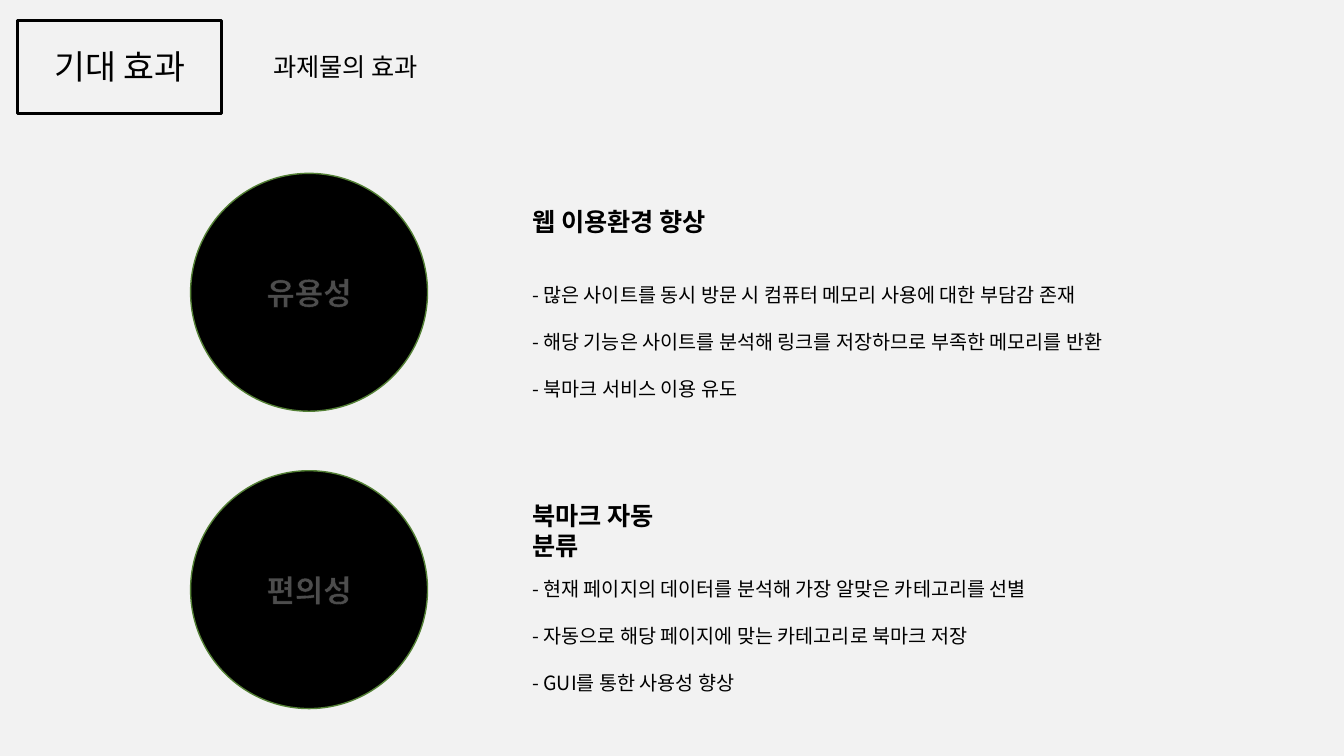
from lxml import etree
from pptx import Presentation
from pptx import util as u
from pptx.dml.color import RGBColor
from pptx.enum import shapes, text
from pptx.oxml import ns

PX = 9144
FONT = "Noto Sans CJK KR"
BLACK = RGBColor(0x00, 0x00, 0x00)
WHITE = RGBColor(0xFF, 0xFF, 0xFF)
GREEN = RGBColor(0x53, 0x80, 0x35)
PAPER = RGBColor(0xF2, 0xF2, 0xF2)

EFFECTS = [
    (172, "유용성", "웹 이용환경 향상", (200, 218), (252, 615), [
        "- 많은 사이트를 동시 방문 시 컴퓨터 메모리 사용에 대한 부담감 존재",
        "- 해당 기능은 사이트를 분석해 링크를 저장하므로 부족한 메모리를 반환",
        "- 북마크 서비스 이용 유도",
    ]),
    (467, "편의성", "북마크 자동 분류", (491, 186), (544, 600), [
        "- 현재 페이지의 데이터를 분석해 가장 알맞은 카테고리를 선별",
        "- 자동으로 해당 페이지에 맞는 카테고리로 북마크 저장",
        "- GUI를 통한 사용성 향상",
    ]),
]


def box(*px):
    """Turn px lengths into EMU."""
    return [u.Emu(n * PX) for n in px]


def outline(r):
    """Give a run a thin, mostly transparent black outline."""
    ln = etree.Element(ns.qn("a:ln"), w=str(u.Pt(0.75)))
    fill = etree.SubElement(ln, ns.qn("a:solidFill"))
    color = etree.SubElement(fill, ns.qn("a:srgbClr"), val=str(BLACK))
    etree.SubElement(color, ns.qn("a:alpha"), val="30000")
    r.font._element.insert(0, ln)


def write(tf, lines, size, color=BLACK, bold=False, **layout):
    """Fill a text frame, one paragraph for each line."""
    tf.word_wrap = True
    for i, line in enumerate(lines):
        p = tf.add_paragraph() if i else tf.paragraphs[0]
        for name, value in layout.items():
            setattr(p, name, value)
        r = p.add_run()
        r.text = line
        for name, value in dict(name=FONT, size=u.Pt(size), bold=bold).items():
            setattr(r.font, name, value)
        r.font.color.rgb = color
        outline(r)


def add_text(parent, at, lines, size, **style):
    """Add a text box that grows with its text."""
    tf = parent.add_textbox(*box(*at)).text_frame
    write(tf, lines, size, **style)
    tf.auto_size = text.MSO_AUTO_SIZE.SHAPE_TO_FIT_TEXT


def add_header(s, x, y):
    """Place the framed title and the subtitle beside it."""
    add_text(s.shapes, (x + 244, y + 26, 433, 40), ["과제물의 효과"], 18)
    group = s.shapes.add_group_shape().shapes
    add_text(group, (x + 6, y + 21, 192, 50), ["기대 효과"], 24,
             alignment=text.PP_ALIGN.CENTER)
    frame = group.add_shape(shapes.MSO_SHAPE.RECTANGLE, *box(x, y, 203, 93))
    frame.shadow.inherit = False
    frame.fill.background()
    frame.line.color.rgb = BLACK
    frame.line.width = u.Pt(2)


def add_effect(s, x, y, label, heading, heading_box, points_box, points):
    """Place a labelled circle with its heading and points."""
    sp = s.shapes.add_shape(shapes.MSO_SHAPE.OVAL, *box(x, y, 235, 236))
    sp.shadow.inherit = False
    sp.fill.solid()
    sp.fill.fore_color.rgb = BLACK
    sp.line.color.rgb = GREEN
    sp.line.width = u.Pt(1)
    sp.text_frame.vertical_anchor = text.MSO_ANCHOR.MIDDLE
    write(sp.text_frame, [label], 22, color=WHITE, bold=True,
          alignment=text.PP_ALIGN.CENTER)
    top, width = heading_box
    add_text(s.shapes, (x + 329, top, width, 40), [heading], 18, bold=True)
    top, width = points_box
    add_text(s.shapes, (x + 329, top, width, 145), points, 14,
             alignment=text.PP_ALIGN.JUSTIFY, line_spacing=2.0)


def main():
    """Build the slide and save it."""
    prs = Presentation()
    prs.slide_width, prs.slide_height = box(1333, 750)
    s = prs.slides.add_slide(prs.slide_layouts[6])
    s.background.fill.solid()
    s.background.fill.fore_color.rgb = PAPER
    add_header(s, 17, 20)
    for y, *parts in EFFECTS:
        add_effect(s, 189, y, *parts)
    prs.save("out.pptx")


if __name__ == "__main__":
    main()
